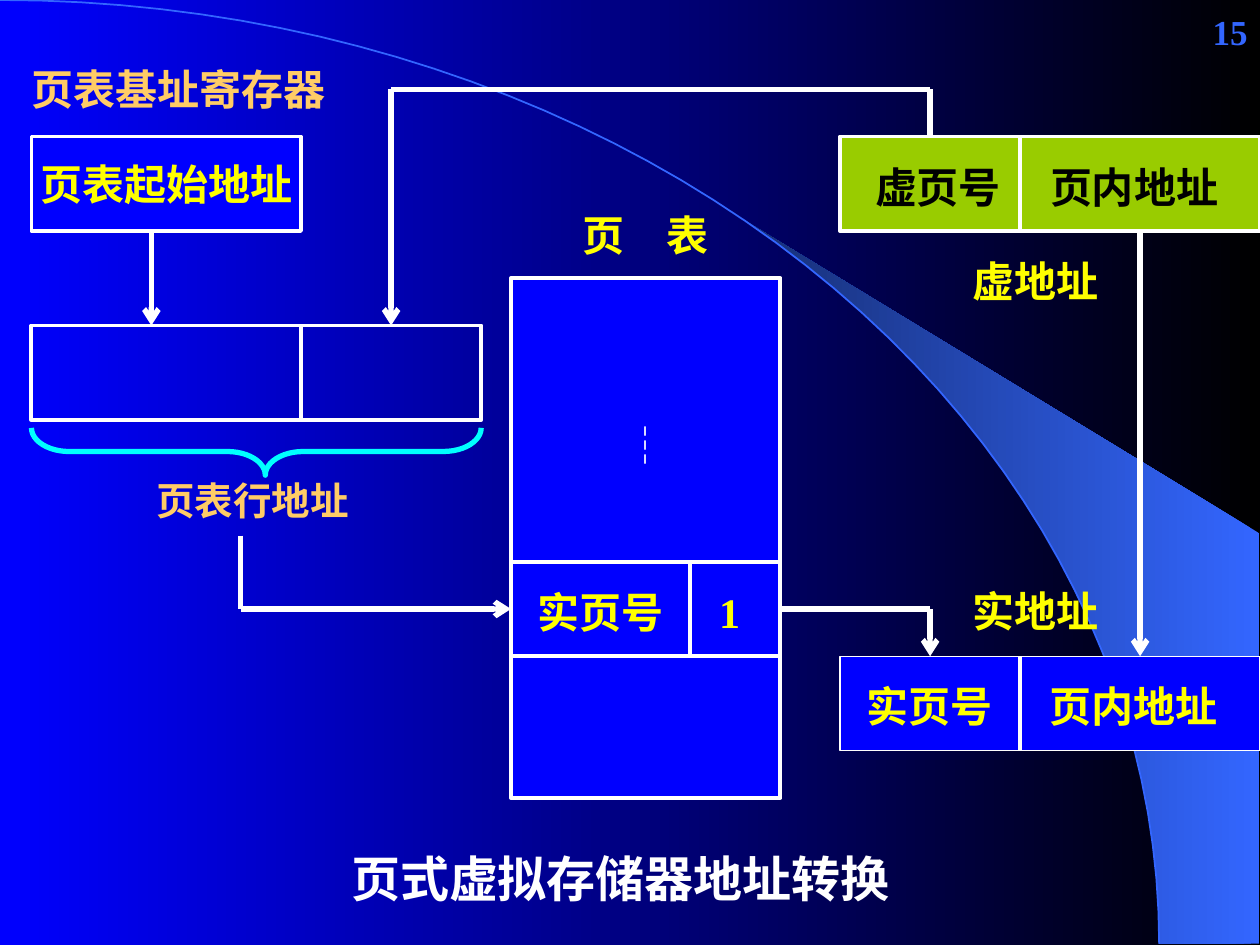
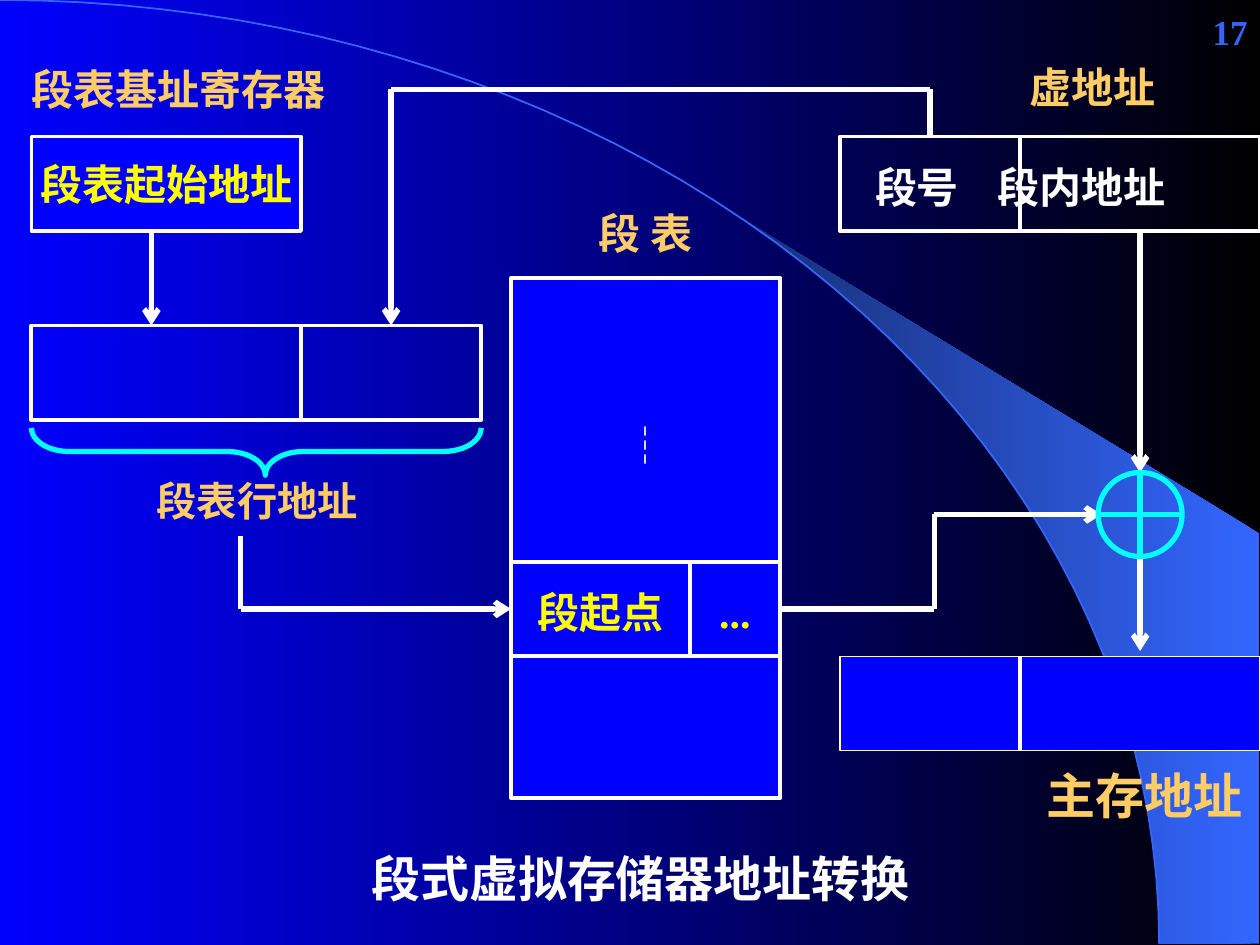
from math import cos, radians, sin

from lxml import etree
from pptx import Presentation
from pptx.dml.color import RGBColor
from pptx.enum.shapes import MSO_CONNECTOR, MSO_SHAPE
from pptx.enum.text import MSO_ANCHOR, PP_ALIGN
from pptx.oxml.ns import qn
from pptx.util import Pt

LEFT, CENTER, RIGHT = PP_ALIGN.LEFT, PP_ALIGN.CENTER, PP_ALIGN.RIGHT
MIDDLE = MSO_ANCHOR.MIDDLE
RECT, OVAL, BRACE = MSO_SHAPE.RECTANGLE, MSO_SHAPE.OVAL, MSO_SHAPE.LEFT_BRACE
STRAIGHT = MSO_CONNECTOR.STRAIGHT

BLACK = RGBColor(0x00, 0x00, 0x00)
WHITE = RGBColor(0xFF, 0xFF, 0xFF)
BLUE = RGBColor(0x00, 0x00, 0xFF)
SKY = RGBColor(0x33, 0x66, 0xFF)
NAVY = RGBColor(0x17, 0x2F, 0x75)
YELLOW = RGBColor(0xFF, 0xFF, 0x00)
ORANGE = RGBColor(0xFF, 0xCC, 0x66)
GREEN = RGBColor(0x99, 0xCC, 0x00)
CYAN = RGBColor(0x00, 0xFF, 0xFF)

SERIF, SANS, CJK = "Times New Roman", "Arial", "Noto Sans CJK SC"

# Shared geometry, in points
W, H = 720, 540
ARC_W, ARC_H = 662.4, 539.3
BOX_H = 54
REG_X, REG_Y, REG_W = 18, 78, 154          # base register
INDEX_Y, INDEX_W = 186, 257                # address of the table row
TABLE_X, TABLE_Y, TABLE_W, TABLE_H = 292, 159, 154, 297
ENTRY_Y, ENTRY_SPLIT = 321, 394.5          # highlighted row of the table
ENTRY_MID = ENTRY_Y + BOX_H / 2
ADDR_X, ADDR_W, ADDR_SPLIT = 480, 240, 583  # virtual and real address
VIRTUAL_Y, REAL_Y = 78, 375
NUMBER_X, OFFSET_X = 531.5, 651.5          # lines leaving the virtual address
ADDER_D, ADDER_Y = 48, 294

# Labels: text, alignment, anchor x, centre y, format
# Address fields: two texts and the x offset of each within its box
SLIDES = [
    dict(
        number="15",
        register="页表起始地址",
        labels=[
            ("页表基址寄存器", LEFT, 18, 50.5, dict(color=ORANGE)),
            ("虚地址", CENTER, 591.5, 160.5, {}),
            ("实地址", CENTER, 591.5, 349, {}),
            ("页表行地址", LEFT, 89.5, 285.5, dict(color=ORANGE, size=22)),
            ("页　表", CENTER, 369, 134, {}),
            ("页式虚拟存储器地址转换", CENTER, 354.5, 501.5,
             dict(color=WHITE, size=28, font=SANS)),
        ],
        entry=("实页号", "1"),
        virtual=dict(fields=("虚页号", "页内地址"), starts=(20, 120),
                     fill=GREEN, color=BLACK),
        real=dict(fields=("实页号", "页内地址"), starts=(15, 120)),
        adder=False,
        routes=[
            [(TABLE_X + TABLE_W, ENTRY_MID), (NUMBER_X, ENTRY_MID),
             (NUMBER_X, REAL_Y)],
            [(OFFSET_X, VIRTUAL_Y + BOX_H), (OFFSET_X, REAL_Y)],
        ],
    ),
    dict(
        number="17",
        register="段表起始地址",
        labels=[
            ("段表基址寄存器", LEFT, 18, 50.5, dict(color=ORANGE)),
            ("虚地址", CENTER, 624, 49.5, dict(color=ORANGE)),
            ("主存地址", CENTER, 654, 454, dict(color=ORANGE, size=28)),
            ("段表行地址", LEFT, 89.5, 286, dict(color=ORANGE, size=23)),
            ("段 表", CENTER, 369, 133, dict(color=ORANGE, font=CJK)),
            ("段式虚拟存储器地址转换", CENTER, 366, 501.5,
             dict(color=WHITE, size=28, font=SANS)),
        ],
        entry=("段起点", "..."),
        virtual=dict(fields=("段号", "段内地址"), starts=(20, 90),
                     color=WHITE, font=CJK),
        real=None,
        adder=True,
        routes=[
            [(TABLE_X + TABLE_W, ENTRY_MID), (534, ENTRY_MID), (534, ADDER_Y),
             (OFFSET_X - ADDER_D / 2 + 2, ADDER_Y)],
            [(OFFSET_X, VIRTUAL_Y + BOX_H), (OFFSET_X, ADDER_Y - ADDER_D / 2)],
            [(OFFSET_X, ADDER_Y + ADDER_D / 2), (OFFSET_X, 372)],
        ],
    ),
]

COMMON_ROUTES = [
    [(86.5, REG_Y + BOX_H), (86.5, INDEX_Y)],
    [(137.5, 306), (137.5, ENTRY_MID), (TABLE_X, ENTRY_MID)],
    [(NUMBER_X, VIRTUAL_Y), (NUMBER_X, 51), (223.5, 51), (223.5, INDEX_Y)],
]
DIVIDERS = [
    (REG_X + REG_W, INDEX_Y, REG_X + REG_W, INDEX_Y + BOX_H),
    (TABLE_X, ENTRY_Y, TABLE_X + TABLE_W, ENTRY_Y),
    (TABLE_X, ENTRY_Y + BOX_H, TABLE_X + TABLE_W, ENTRY_Y + BOX_H),
    (ENTRY_SPLIT, ENTRY_Y, ENTRY_SPLIT, ENTRY_Y + BOX_H),
    (ADDR_SPLIT, VIRTUAL_Y, ADDR_SPLIT, VIRTUAL_Y + BOX_H),
    (ADDR_SPLIT, REAL_Y, ADDR_SPLIT, REAL_Y + BOX_H),
]


def write(sp, text, size=24, color=YELLOW, font=SERIF, align=CENTER,
          left=0, right=0, top=0, tab=None):
    tf = sp.text_frame
    tf.word_wrap = True
    tf.vertical_anchor = MIDDLE
    tf.margin_left, tf.margin_right = Pt(left), Pt(right)
    tf.margin_top, tf.margin_bottom = Pt(top), 0
    p = tf.paragraphs[0]
    p.alignment = align
    if tab:
        tabs = etree.SubElement(p._p.get_or_add_pPr(), qn("a:tabLst"))
        etree.SubElement(tabs, qn("a:tab"), pos=str(Pt(tab)), algn="l")
    r = p.add_run()
    r.text = text
    r.font.size, r.font.bold, r.font.name = Pt(size), True, font
    r.font.color.rgb = color
    etree.SubElement(r._r.get_or_add_rPr(), qn("a:ea"), typeface=CJK)


def text_box(s, text, x, y, w, h, **fmt):
    write(s.shapes.add_textbox(Pt(x), Pt(y), Pt(w), Pt(h)), text, **fmt)


def label(s, text, align, x, cy, fmt):
    w, h = 360, 40
    if align == CENTER:
        w = min(w, 2 * (W - x))
        x -= w / 2
    text_box(s, text, x, cy - h / 2, w, h, align=align, **fmt)


def style(sp, fill=None, line=WHITE, width=2.25):
    sp.shadow.inherit = False
    if fill is None:
        sp.fill.background()
    else:
        sp.fill.solid()
        sp.fill.fore_color.rgb = fill
    sp.line.color.rgb = line
    sp.line.width = Pt(width)


def shape(s, kind, x, y, w, h, **look):
    sp = s.shapes.add_shape(kind, Pt(x), Pt(y), Pt(w), Pt(h))
    style(sp, **look)
    return sp


def line(s, x1, y1, x2, y2, color=WHITE, width=2.25, arrow=False):
    c = s.shapes.add_connector(STRAIGHT, Pt(x1), Pt(y1), Pt(x2), Pt(y2))
    c.line.color.rgb = color
    c.line.width = Pt(width)
    if arrow:
        etree.SubElement(c.line._get_or_add_ln(), qn("a:tailEnd"), type="arrow")
    etree.SubElement(c._element.spPr, qn("a:effectLst"))


def route(s, points):
    """Draw straight runs through the points, with an arrow on the last one."""
    for i in range(len(points) - 1):
        line(s, *points[i], *points[i + 1], width=3, arrow=i == len(points) - 2)


def fields(s, sp, texts, starts, **fmt):
    write(sp, "\t".join(texts), align=LEFT, left=starts[0], top=3,
          tab=starts[1] - starts[0], **fmt)


def gradient(fill, first, last):
    fill.gradient()
    fill.gradient_angle = 180
    for stop, color in zip(fill.gradient_stops, (first, last)):
        stop.color.rgb = color


def arc(start):
    """Points of the large curve from the start angle to 90 degrees."""
    return [(ARC_W * sin(radians(a)), ARC_H * (1 - cos(radians(a))))
            for a in range(start, 91, 2)]


def outline(s, points, close):
    points = [(Pt(x), Pt(y)) for x, y in points]
    fb = s.shapes.build_freeform(*points[0])
    fb.add_line_segments(points[1:], close=close)
    sp = fb.convert_to_shape()
    sp.shadow.inherit = False
    return sp


def backdrop(s, number):
    beam = outline(s, arc(40) + [(719.3, ARC_H), (719.3, 304.6)], True)
    gradient(beam.fill, SKY, NAVY)
    beam.line.fill.background()
    style(outline(s, arc(0), False), line=SKY, width=1)
    text_box(s, number, 570, 0, 150, 36, size=20, color=SKY, align=RIGHT,
             right=7.2)


def diagram(s, data):
    reg = shape(s, RECT, REG_X, REG_Y, REG_W, BOX_H, fill=BLUE)
    write(reg, data["register"])
    shape(s, RECT, REG_X, INDEX_Y, INDEX_W, BOX_H)
    shape(s, RECT, TABLE_X, TABLE_Y, TABLE_W, TABLE_H, fill=BLUE)

    virtual = dict(data["virtual"])
    sp = shape(s, RECT, ADDR_X, VIRTUAL_Y, ADDR_W, BOX_H,
               fill=virtual.pop("fill", None))
    real = shape(s, RECT, ADDR_X, REAL_Y, ADDR_W, BOX_H, fill=BLUE, width=0.75)
    for divider in DIVIDERS:
        line(s, *divider)
    fields(s, sp, virtual.pop("fields"), virtual.pop("starts"), **virtual)
    if data["real"]:
        fields(s, real, data["real"]["fields"], data["real"]["starts"])

    entry = s.shapes.add_textbox(Pt(TABLE_X), Pt(ENTRY_Y), Pt(TABLE_W), Pt(BOX_H))
    fields(s, entry, data["entry"], (15, 119))
    label(s, "┆", CENTER, TABLE_X + TABLE_W / 2, 254, dict(color=WHITE, font=CJK))

    depth, mid_x, mid_y = 27, REG_X + INDEX_W / 2, 258
    brace = shape(s, BRACE, mid_x - depth / 2, mid_y - INDEX_W / 2, depth, INDEX_W,
                  line=CYAN, width=3)
    brace.rotation = 270
    brace.adjustments[0], brace.adjustments[1] = 0.8, 0.52

    for points in COMMON_ROUTES + data["routes"]:
        route(s, points)
    if data["adder"]:
        half = ADDER_D / 2
        shape(s, OVAL, OFFSET_X - half, ADDER_Y - half, ADDER_D, ADDER_D,
              line=CYAN, width=3)
        for dx, dy in ((half, 0), (0, half)):
            line(s, OFFSET_X - dx, ADDER_Y - dy, OFFSET_X + dx, ADDER_Y + dy,
                 color=CYAN, width=3)
    for item in data["labels"]:
        label(s, *item)


def main():
    prs = Presentation()
    prs.slide_width, prs.slide_height = Pt(W), Pt(H)
    gradient(prs.slide_master.background.fill, BLACK, BLUE)
    for data in SLIDES:
        s = prs.slides.add_slide(prs.slide_layouts[6])
        backdrop(s, data["number"])
        diagram(s, data)
    prs.save("out.pptx")


if __name__ == "__main__":
    main()
